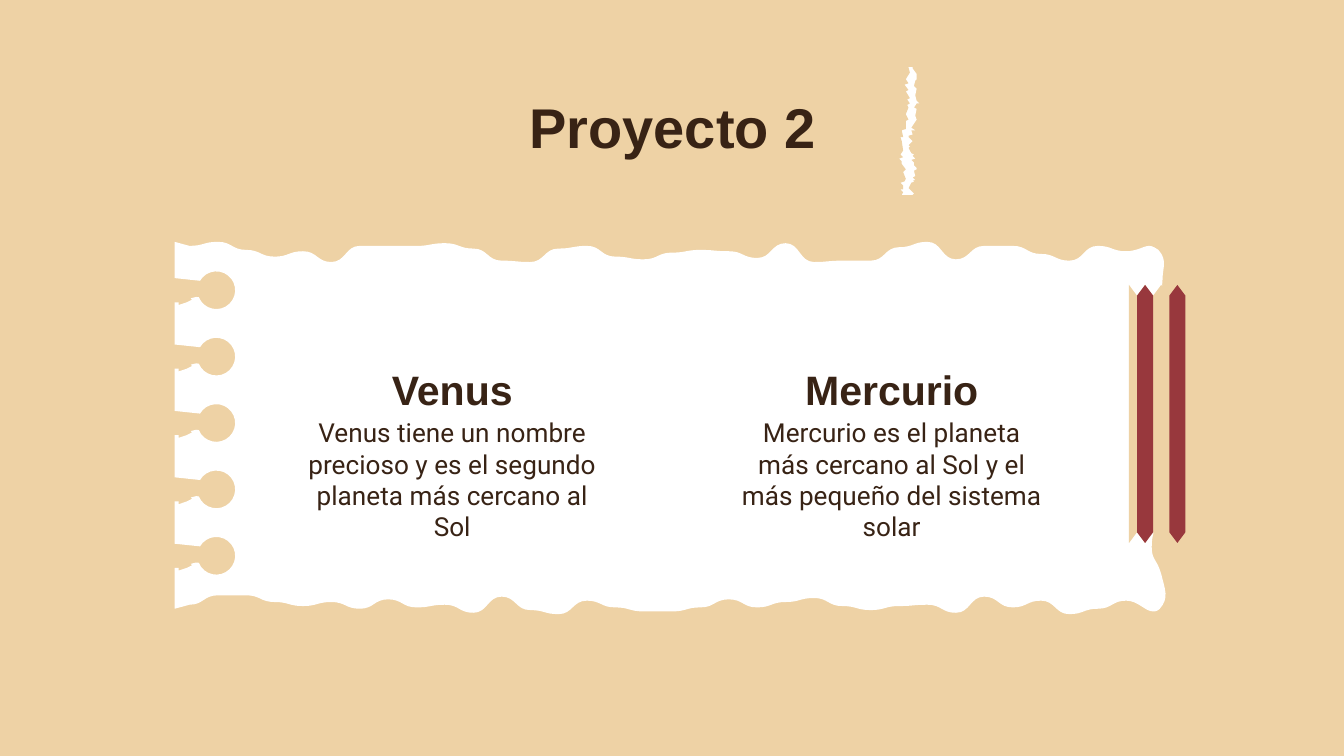
import math

from pptx import Presentation
from pptx import util as u
from pptx.dml.color import RGBColor
from pptx.enum import text

SAND = RGBColor(0xEE, 0xD2, 0xA5)
WHITE = RGBColor(0xFF, 0xFF, 0xFF)
RED = RGBColor(0x98, 0x38, 0x3D)
BROWN = RGBColor(0x38, 0x23, 0x15)

# Heights of the paper's wavy edges at equal steps, left to right
EDGE_LEFT, EDGE_RIGHT = 1.41, 8.38
TOP_EDGE = [1.83, 1.8, 1.86, 1.91, 1.87, 1.95, 1.83, 1.83, 1.83, 1.81, 1.85, 1.94,
            1.95, 1.85, 1.83, 1.91, 1.93, 1.88, 1.86, 1.87, 1.92, 1.81, 1.95, 1.94,
            1.94, 1.84, 1.8, 1.93, 1.83, 1.83, 1.89, 1.94, 1.83, 1.87]
BOTTOM_EDGE = [4.5, 4.43, 4.43, 4.48, 4.51, 4.48, 4.53, 4.46, 4.52, 4.5, 4.56, 4.44,
               4.54, 4.57, 4.47, 4.52, 4.55, 4.55, 4.52, 4.46, 4.52, 4.48, 4.45, 4.51,
               4.54, 4.51, 4.5, 4.56, 4.44, 4.52, 4.47, 4.57, 4.53, 4.47]
RIGHT_EDGE = [(8.57, 4.07), (8.6, 3.85), (8.62, 3.62), (8.53, 3.4), (8.64, 3.19),
              (8.52, 2.97), (8.64, 2.75), (8.59, 2.54), (8.57, 2.32), (8.65, 2.09)]

# Torn strip outlines beside the title
TORN_WHITE = [
    (6.59, 0.5), (6.62, 1.45), (6.79, 1.45), (6.8, 1.44), (6.77, 1.41), (6.76, 1.4),
    (6.77, 1.38), (6.78, 1.36), (6.8, 1.35), (6.79, 1.34), (6.81, 1.34), (6.79, 1.32),
    (6.81, 1.31), (6.8, 1.27), (6.82, 1.26), (6.82, 1.25), (6.8, 1.23), (6.8, 1.21),
    (6.78, 1.19), (6.81, 1.18), (6.79, 1.16), (6.8, 1.15), (6.78, 1.14), (6.76, 1.1),
    (6.77, 1.09), (6.76, 1.08), (6.79, 1.05), (6.76, 1.02), (6.76, 1.01), (6.79, 1),
    (6.78, 0.97), (6.81, 0.97), (6.78, 0.95), (6.82, 0.89), (6.81, 0.86), (6.82, 0.81),
    (6.8, 0.8), (6.82, 0.77), (6.84, 0.77), (6.82, 0.75), (6.81, 0.71), (6.82, 0.66),
    (6.8, 0.64), (6.81, 0.6), (6.82, 0.59), (6.82, 0.55), (6.79, 0.51), (6.79, 0.5)]
TORN_SAND = [
    (3.22, 0.5), (3.2, 0.55), (3.24, 0.58), (3.18, 0.65), (3.19, 0.72), (3.16, 0.81),
    (3.19, 0.89), (3.19, 0.97), (3.21, 1.01), (3.18, 1.05), (3.18, 1.14), (3.21, 1.22),
    (3.21, 1.28), (3.24, 1.32), (3.25, 1.37), (3.21, 1.42), (3.23, 1.44), (6.71, 1.45),
    (6.72, 1.43), (6.7, 1.41), (6.72, 1.41), (6.72, 1.38), (6.7, 1.36), (6.73, 1.35),
    (6.74, 1.33), (6.72, 1.28), (6.74, 1.26), (6.71, 1.22), (6.71, 1.2), (6.69, 1.18),
    (6.72, 1.17), (6.7, 1.15), (6.72, 1.12), (6.71, 1.05), (6.7, 1.02), (6.72, 1.02),
    (6.71, 0.97), (6.74, 0.96), (6.74, 0.9), (6.76, 0.89), (6.74, 0.85), (6.76, 0.8),
    (6.75, 0.78), (6.77, 0.77), (6.75, 0.74), (6.77, 0.73), (6.74, 0.68), (6.76, 0.67),
    (6.73, 0.63), (6.76, 0.62), (6.74, 0.59), (6.77, 0.54), (6.76, 0.5)]


def curve(*controls, steps=8):
    """Points along a cubic Bezier, without its first point."""
    points = []
    for step in range(1, steps + 1):
        t = step / steps
        weights = [math.comb(3, k) * t**k * (1 - t)**(3 - k) for k in range(4)]
        points.append(tuple(sum(w * c[axis] for w, c in zip(weights, controls))
                            for axis in (0, 1)))
    return points


def wave(knots, vertical=False):
    """Smooth S-curves from knot to knot."""
    points = [knots[0]]
    for (x0, y0), (x1, y1) in zip(knots, knots[1:]):
        xm, ym = (x0 + x1) / 2, (y0 + y1) / 2
        middle = [(x0, ym), (x1, ym)] if vertical else [(xm, y0), (xm, y1)]
        points += curve((x0, y0), *middle, (x1, y1))
    return points


def spread(heights):
    gap = (EDGE_RIGHT - EDGE_LEFT) / (len(heights) - 1)
    return [(EDGE_LEFT + i * gap, y) for i, y in enumerate(heights)]


def binder_hole(y):
    """Notch in the left edge, around a hole centred at height y."""
    angles = [math.radians(a) for a in range(210, 520, 14)]
    arc = [(1.61 + 0.14 * math.cos(a), y + 0.14 * math.sin(a)) for a in angles]
    tail = [(1.46, 0.05), (1.42, 0.06), (1.43, 0.07), (1.39, 0.09), (1.33, 0.11),
            (1.33, 0.09), (1.3, 0.09)]
    return [(1.3, y - 0.09), (1.49, y - 0.07), *arc, *((x, y + dy) for x, dy in tail)]


def paper_outline():
    points = [(1.3, 1.8)]
    for i in range(5):
        points += binder_hole(2.16 + i * 0.494)
    points += [(1.3, 4.53), *wave(spread(BOTTOM_EDGE))]
    points += curve((8.38, 4.47), (8.47, 4.47), (8.52, 4.55), (8.58, 4.55))
    points += curve((8.58, 4.55), (8.59, 4.55), (8.61, 4.55), (8.63, 4.53))
    points += curve((8.63, 4.53), (8.7, 4.45), (8.67, 4.39), (8.64, 4.27))
    points += curve((8.64, 4.27), (8.61, 4.16), (8.57, 4.17), (8.57, 4.07))
    points += wave(RIGHT_EDGE, vertical=True)
    points += curve((8.65, 2.09), (8.65, 1.99), (8.69, 1.94), (8.62, 1.86))
    points += curve((8.62, 1.86), (8.59, 1.84), (8.57, 1.83), (8.55, 1.83))
    points += curve((8.55, 1.83), (8.51, 1.83), (8.46, 1.87), (8.38, 1.87))
    return points + wave(spread(TOP_EDGE)[::-1])


class Painter:
    def __init__(self, slide):
        self.slide = slide
        self.slide.background.fill.solid()
        self.slide.background.fill.fore_color.rgb = SAND

    def outline(self, points, color, rotation=0):
        corners = [(u.Inches(x), u.Inches(y)) for x, y in points]
        builder = self.slide.shapes.build_freeform(*corners[0], scale=1.0)
        builder.add_line_segments(corners[1:], close=True)
        shape = builder.convert_to_shape()
        shape.shadow.inherit = False
        shape.fill.solid()
        shape.fill.fore_color.rgb = color
        shape.line.fill.background()
        shape.rotation = rotation

    def format(self, box, words, place, size, font, bold):
        box.left, box.top, box.width, box.height = map(u.Inches, place)
        frame = box.text_frame
        frame.word_wrap = True
        frame.auto_size = text.MSO_AUTO_SIZE.NONE
        frame.vertical_anchor = text.MSO_ANCHOR.TOP
        frame.margin_left = frame.margin_right = u.Inches(0.1)
        frame.margin_top = frame.margin_bottom = u.Inches(0.1)
        frame.text = words
        para = frame.paragraphs[0]
        para.alignment = text.PP_ALIGN.CENTER
        para.font.name, para.font.size, para.font.bold = font, u.Pt(size), bold
        para.font.color.rgb = BROWN

    def title(self, words, place):
        box = self.slide.shapes.title
        self.format(box, words, place, 30, "Arial", True)
        box.element.getparent().append(box.element)  # bring to front

    def label(self, words, place, size, font="Roboto", bold=False):
        box = self.slide.shapes.add_textbox(0, 0, 0, 0)
        self.format(box, words, place, size, font, bold)


def main():
    deck = Presentation()
    deck.slide_width = u.Inches(10)
    deck.slide_height = deck.slide_width * 9 // 16
    painter = Painter(deck.slides.add_slide(deck.slide_layouts[5]))

    # Notebook paper
    painter.outline(paper_outline(), WHITE)

    # Ribbon with zigzag ends, then two pointed bars
    teeth = [(0.08 * (i % 2), 2.84 + i * 0.06) for i in range(9)]
    ribbon = [(7.68 + x, y) for x, y in teeth] + [(9.6 - x, y) for x, y in teeth[::-1]]
    painter.outline(ribbon, SAND, 270)
    for left in (7.8, 7.56):
        right = left + 1.92
        painter.outline([(left, 3.08), (left + 0.08, 3.02), (right - 0.08, 3.02),
                         (right, 3.08), (right - 0.08, 3.14), (left + 0.08, 3.14)],
                        RED, 90)

    # Torn strip and title
    painter.outline(TORN_WHITE, WHITE)
    painter.outline(TORN_SAND, SAND)
    painter.title("Proyecto 2", (0.79, 0.59, 8.43, 0.52))

    # Planet columns
    planets = [
        (1.97, "Venus",
         "Venus tiene un nombre precioso y es el segundo planeta más cercano al Sol"),
        (5.24, "Mercurio",
         "Mercurio es el planeta más cercano al Sol y el más pequeño del sistema solar"),
    ]
    for left, name, fact in planets:
        painter.label(fact, (left + 0.13, 3, 2.53, 0.76), 14)
        painter.label(name, (left, 2.61, 2.79, 0.41), 22, "Arial", True)

    deck.save("out.pptx")


if __name__ == "__main__":
    main()
